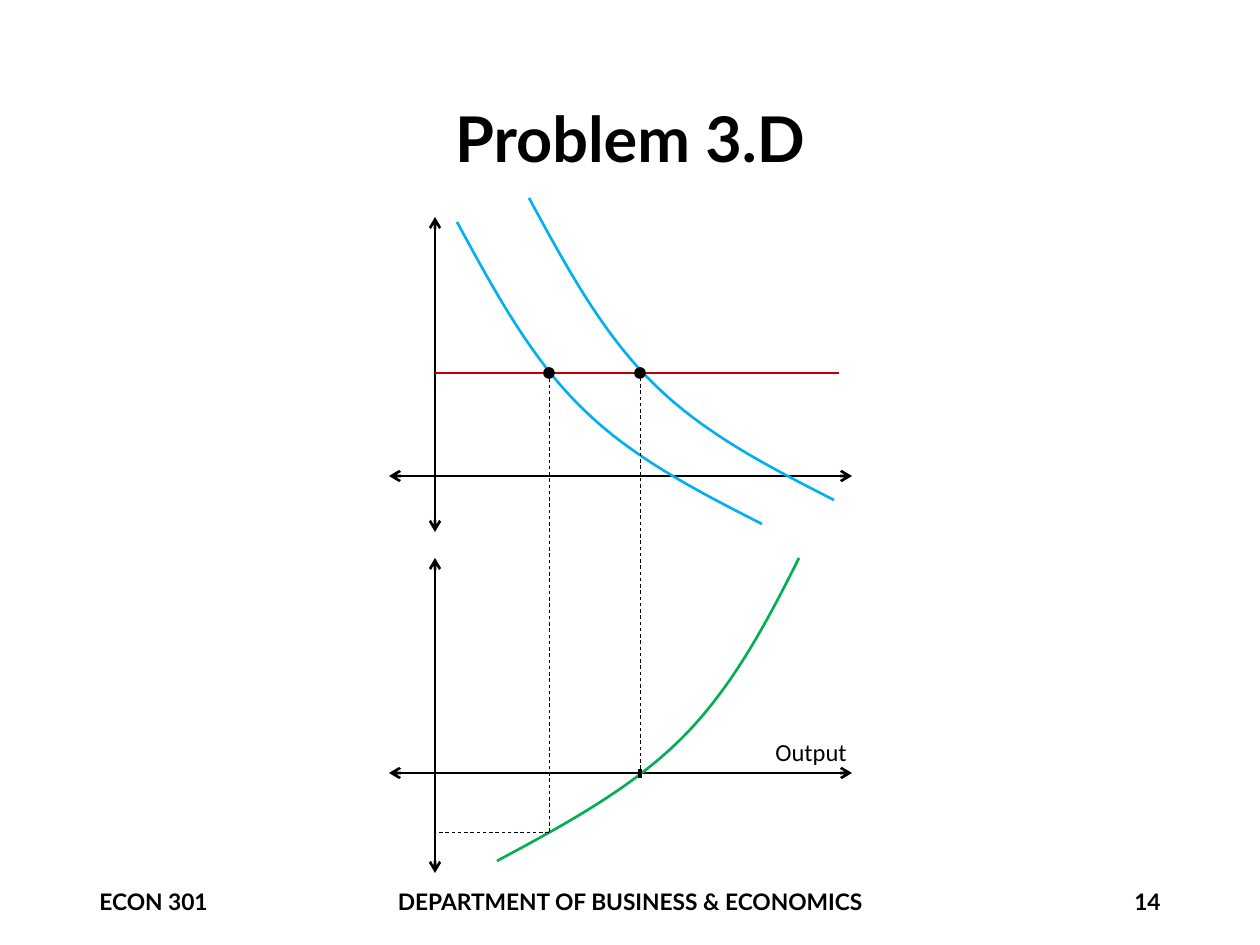
from lxml.etree import SubElement
from pptx import Presentation
from pptx.dml.color import RGBColor
from pptx.enum.dml import MSO_LINE
from pptx.enum.shapes import MSO_CONNECTOR, MSO_SHAPE
from pptx.enum.text import MSO_ANCHOR, MSO_AUTO_SIZE, PP_ALIGN
from pptx.oxml.ns import qn
from pptx.util import Pt

EMU_PER_PX = 914400 / 126
COLORS = {"ink": "000000", "price": "C00000", "demand": "00B0F0", "supply": "00B050"}

AXIS_X, AXIS_LEFT, AXIS_RIGHT = 435, 389, 852
AXIS_HEIGHT = 315
GRAPHS = [(217, 476), (558, 773)]  # top of the vertical axis, height of the horizontal one
PRICE_Y, LOSS_Y = 373, 832
Q1, Q2 = 549, 640
DEMAND = [(457, 222), (494, 290), (530, 357), (581, 407), (631, 457), (697, 491), (762, 524)]
DEMAND_SHIFT = (72, -24)
SUPPLY = [(497, 861), (564, 825), (631, 789), (682, 738), (732, 688), (766, 624), (799, 558)]


def px(n):
    return round(n * EMU_PER_PX)


def rgb(name):
    return RGBColor.from_string(COLORS[name])


def bend(sp):
    """Turn each three straight segments of a freeform into one cubic Bezier segment."""
    path = next(sp._element.iter(qn("a:path")))
    segments = path.findall(qn("a:lnTo"))
    for i in range(0, len(segments), 3):
        cubic = SubElement(path, qn("a:cubicBezTo"))
        for segment in segments[i:i + 3]:
            cubic.append(segment[0])
            path.remove(segment)


class Sketch:
    """Draws styled elements on one slide."""

    def __init__(self, slide):
        self.s = slide
        self.font = "Lato"

    def format_text(self, sp, text, size, align=PP_ALIGN.LEFT, bold=True, font=None):
        tf = sp.text_frame
        tf.text = text
        tf.auto_size = MSO_AUTO_SIZE.NONE
        tf.word_wrap = True
        tf.vertical_anchor = MSO_ANCHOR.MIDDLE
        p = tf.paragraphs[0]
        p.alignment = align
        r = p.runs[0]
        r.font.name = font or self.font
        r.font.size = Pt(size)
        r.font.bold = bold
        r.font.color.rgb = rgb("ink")
        return tf

    def title(self, text, x, y, w, h):
        sp = self.s.shapes.title
        sp.left, sp.top, sp.width, sp.height = map(px, (x, y, w, h))
        tf = self.format_text(sp, text, 36, PP_ALIGN.CENTER)
        tf.paragraphs[0].line_spacing = 0.9

    def text(self, text, x, y, w, h, align=PP_ALIGN.LEFT):
        sp = self.s.shapes.add_textbox(*map(px, (x, y, w, h)))
        self.format_text(sp, text, 13, align)

    def label(self, text, x, y, w, h):
        sp = self.s.shapes.add_textbox(*map(px, (x, y, w, h)))
        tf = self.format_text(sp, text, 14, bold=False, font="Calibri")
        tf.vertical_anchor = MSO_ANCHOR.TOP
        tf.word_wrap = False
        tf.auto_size = MSO_AUTO_SIZE.SHAPE_TO_FIT_TEXT

    def line(self, x1, y1, x2, y2, color="ink", width=1.5):
        c = self.s.shapes.add_connector(MSO_CONNECTOR.STRAIGHT, *map(px, (x1, y1, x2, y2)))
        c.line.color.rgb = rgb(color)
        c.line.width = Pt(width)
        SubElement(c._element.spPr, qn("a:effectLst"))
        return c

    def axis(self, x1, y1, x2, y2):
        c = self.line(x1, y1, x2, y2)
        for end in ("a:headEnd", "a:tailEnd"):
            SubElement(c.line._get_or_add_ln(), qn(end), type="arrow")

    def guide(self, x1, y1, x2, y2):
        self.line(x1, y1, x2, y2, width=0.5).line.dash_style = MSO_LINE.DASH

    def curve(self, points, color):
        builder = self.s.shapes.build_freeform(*points[0], scale=EMU_PER_PX)
        builder.add_line_segments(points[1:], close=False)
        sp = builder.convert_to_shape()
        bend(sp)
        sp.shadow.inherit = False
        sp.fill.background()
        sp.line.color.rgb = rgb(color)
        sp.line.width = Pt(1.5)

    def dot(self, x, y, size=10):
        box = (x - size / 2, y - size / 2, size, size)
        sp = self.s.shapes.add_shape(MSO_SHAPE.OVAL, *map(px, box))
        sp.shadow.inherit = False
        sp.fill.solid()
        sp.fill.fore_color.rgb = rgb("ink")
        sp.line.color.rgb = rgb("ink")
        sp.line.width = Pt(1)


def main():
    prs = Presentation()
    prs.slide_width, prs.slide_height = px(1260), px(945)
    sketch = Sketch(prs.slides.add_slide(prs.slide_layouts[5]))

    sketch.title("Problem 3.D", 87, 51, 1086, 183)
    sketch.text("ECON 301", 87, 876, 284, 50)
    sketch.text("DEPARTMENT OF BUSINESS & ECONOMICS", 233, 876, 794, 50, PP_ALIGN.CENTER)
    sketch.text("14", 889, 876, 284, 50, PP_ALIGN.RIGHT)

    for top, base in GRAPHS:
        sketch.axis(AXIS_X, top, AXIS_X, top + AXIS_HEIGHT)
        sketch.axis(AXIS_LEFT, base, AXIS_RIGHT, base)
    sketch.line(AXIS_X, PRICE_Y, 839, PRICE_Y, "price")

    dx, dy = DEMAND_SHIFT
    sketch.curve(DEMAND, "demand")
    sketch.curve(SUPPLY, "supply")
    sketch.dot(Q1, PRICE_Y)
    sketch.label("Output", 763, 731, 98, 43)
    sketch.line(Q2, 769, Q2, 778, width=2.25)

    sketch.guide(Q1, LOSS_Y, Q1, PRICE_Y)
    sketch.guide(Q1, LOSS_Y, AXIS_X, LOSS_Y)
    sketch.curve([(x + dx, y + dy) for x, y in DEMAND], "demand")
    sketch.guide(Q2, 769, Q2, PRICE_Y)
    sketch.dot(Q2, PRICE_Y)

    prs.save("out.pptx")


if __name__ == "__main__":
    main()
